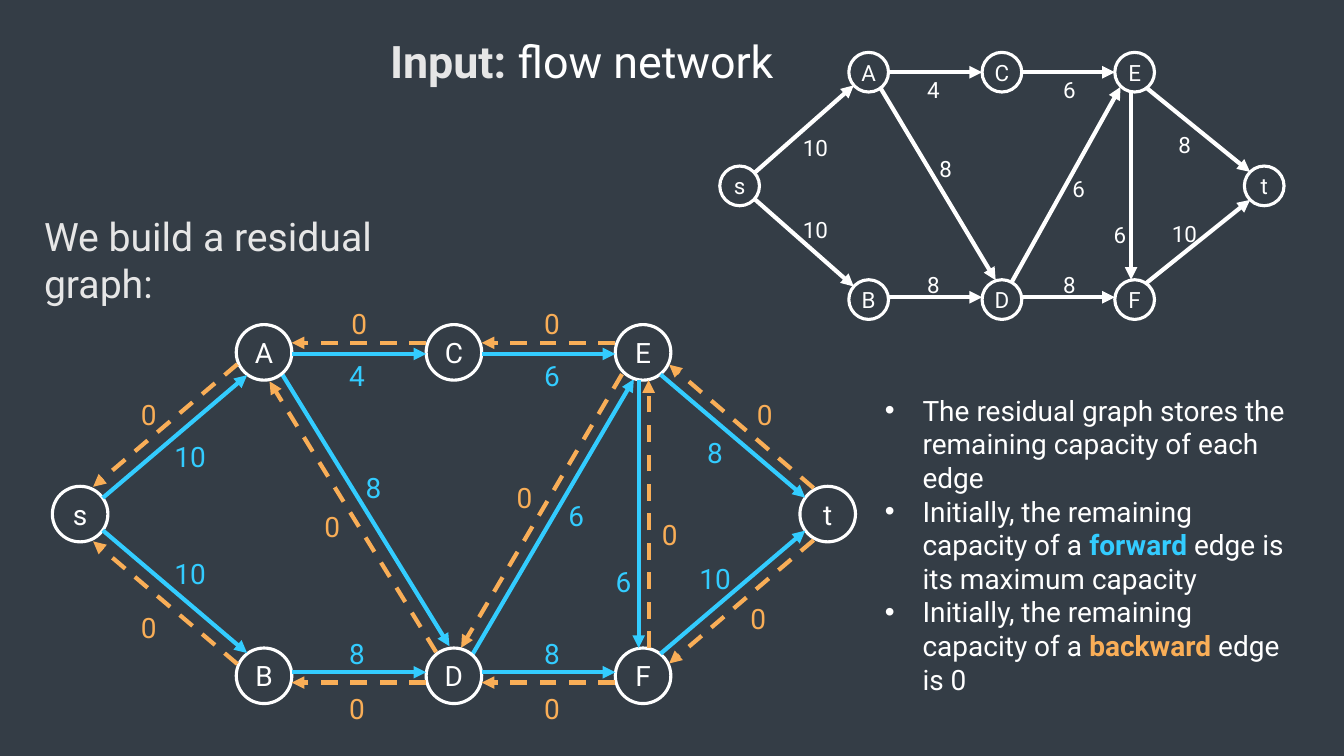
from math import hypot

from lxml.etree import SubElement
from pptx import Presentation
from pptx.dml.color import RGBColor
from pptx.enum.dml import MSO_LINE
from pptx.enum.shapes import MSO_CONNECTOR, MSO_SHAPE
from pptx.enum.text import MSO_ANCHOR as ANCHOR, PP_ALIGN as ALIGN
from pptx.oxml.ns import qn
from pptx.util import Cm, Pt

BACKGROUND = RGBColor(0x34, 0x3D, 0x46)
WHITE = RGBColor(0xFF, 0xFF, 0xFF)
LIGHT = RGBColor(0xE6, 0xE6, 0xE6)
BLUE = RGBColor(0x33, 0xCC, 0xFF)
ORANGE = RGBColor(0xF9, 0xAE, 0x57)
FONT = "Roboto"

NODES = {"s": (0, 0.5), "t": (1, 0.5),
         "B": (0.246, 1), "C": (0.5, 0), "D": (0.5, 1),
         "A": (0.246, 0), "F": (0.753, 1), "E": (0.753, 0)}
CROSSING = ("AD", "DA", "DE", "ED")

# Edge: tail and head, capacity, sideways shift at tail and head, label centre
NETWORK = [
    ("sA", 10, 0, 0, 2.41, 2.4), ("sB", 10, 0, 0, 2.41, 4.46),
    ("AC", 4, 0, 0, 5.38, 0.93), ("CE", 6, 0, 0, 8.81, 0.93),
    ("BD", 8, -0.06, -0.06, 5.38, 5.85), ("DF", 8, -0.06, -0.06, 8.81, 5.85),
    ("AD", 8, -0.05, -0.11, 5.69, 2.93), ("DE", 6, 0, -0.12, 9.04, 3.44),
    ("EF", 6, 0.09, 0.09, 10.08, 4.58),
    ("Et", 8, 0.1, -0.03, 11.71, 2.32), ("Ft", 10, -0.12, 0.03, 11.71, 4.56),
]
FORWARD = [
    ("sA", 10, 0.07, 0.15, 3.47, 3.33), ("sB", 10, -0.07, -0.15, 3.47, 6.27),
    ("AC", 4, 0.04, 0.04, 7.68, 1.27), ("CE", 6, 0.04, 0.04, 12.59, 1.27),
    ("BD", 8, -0.09, -0.09, 7.68, 8.28), ("DF", 8, -0.09, -0.09, 12.59, 8.28),
    ("AD", 8, -0.1, -0.28, 8.09, 4.11), ("DE", 6, 0.13, 0.14, 13.2, 4.8),
    ("EF", 6, 0.11, 0.11, 14.39, 6.48),
    ("Et", 8, 0.13, 0.06, 16.7, 3.23), ("Ft", 10, -0.13, -0.06, 16.7, 6.4),
]
BACKWARD = [
    ("As", 0, 0.22, 0.3, 2.43, 2.26), ("Bs", 0, -0.22, -0.3, 2.43, 7.62),
    ("CA", 0, 0.24, 0.24, 7.73, -0.03), ("EC", 0, 0.24, 0.24, 12.59, -0.03),
    ("DB", 0, -0.17, -0.17, 7.68, 9.68), ("FD", 0, -0.17, -0.17, 12.59, 9.68),
    ("DA", 0, -0.07, -0.25, 7.05, 5.08), ("ED", 0, 0.18, 0.2, 11.9, 4.34),
    ("FE", 0, 0.14, 0.14, 15.56, 5.28),
    ("tE", 0, 0.26, 0.2, 17.95, 2.26), ("tF", 0, -0.26, -0.2, 17.79, 7.39),
]


def add_runs(p, *runs, size, align=ALIGN.LEFT):
    """Fill a paragraph with (text, colour, bold) runs."""
    p.alignment = align
    for text, color, bold in runs:
        r = p.add_run()
        r.text = text
        r.font.name, r.font.size, r.font.bold = FONT, Pt(size), bold
        r.font.color.rgb = color


def set_frame(tf, inset=(0, 0), wrap=True, anchor=ANCHOR.TOP):
    """Set insets in cm, wrapping and anchor of a text frame."""
    tf.margin_left = tf.margin_right = Cm(inset[0])
    tf.margin_top = tf.margin_bottom = Cm(inset[1])
    tf.word_wrap, tf.vertical_anchor = wrap, anchor


def add_text(shapes, box, *paragraphs, size, bullets=False, align=ALIGN.LEFT,
             **frame):
    """Place a text box holding one list of runs per paragraph."""
    tf = shapes.add_textbox(*map(Cm, box)).text_frame
    set_frame(tf, **frame)
    for i, runs in enumerate(paragraphs):
        p = tf.paragraphs[0] if i == 0 else tf.add_paragraph()
        if bullets:
            pPr = p._p.get_or_add_pPr()
            pPr.set("marL", str(Cm(0.95)))
            pPr.set("indent", str(-Cm(0.95)))
            SubElement(pPr, qn("a:buFont"), typeface="Arial")
            SubElement(pPr, qn("a:buChar"), char="•")
        add_runs(p, *runs, size=size, align=align)


def add_arrow(shapes, start, end, color, dashed):
    """Draw an arrow between two points in cm."""
    c = shapes.add_connector(MSO_CONNECTOR.STRAIGHT, *map(Cm, start + end))
    c.line.color.rgb, c.line.width = color, Pt(3)
    if dashed:
        c.line.dash_style = MSO_LINE.DASH
    SubElement(c.line._get_or_add_ln(), qn("a:tailEnd"), type="triangle")
    SubElement(c._element.spPr, qn("a:effectLst"))


def add_node(shapes, name, center, radius, size):
    """Draw one named circle."""
    x, y = center
    sp = shapes.add_shape(MSO_SHAPE.OVAL, Cm(x - radius), Cm(y - radius),
                          Cm(2 * radius), Cm(2 * radius))
    sp.shadow.inherit = False
    sp.fill.solid()
    sp.fill.fore_color.rgb = BACKGROUND
    sp.line.color.rgb, sp.line.width = WHITE, Pt(2.25)
    set_frame(sp.text_frame, wrap=False, anchor=ANCHOR.MIDDLE)
    add_runs(sp.text_frame.paragraphs[0], (name, WHITE, False), size=size,
             align=ALIGN.CENTER)


def add_graph(shapes, box, radius, size, layers):
    """Draw the nodes of a graph in a box, with layers of (edges, colour, dashed)."""
    left, top, width, height = box
    centers = {name: (left + radius + fx * (width - 2 * radius),
                      top + radius + fy * (height - 2 * radius))
               for name, (fx, fy) in NODES.items()}

    def draw_edges(crossing):
        """Draw the edges that start under their node, or the others."""
        for edges, color, dashed in layers:
            for ends, _, tail_shift, head_shift, _, _ in edges:
                if (ends in CROSSING) != crossing:
                    continue
                (x1, y1), (x2, y2) = (centers[name] for name in ends)
                length = hypot(x2 - x1, y2 - y1)
                dx, dy = (x2 - x1) / length, (y2 - y1) / length
                trim = 0 if crossing else radius
                start = (x1 + trim * dx - tail_shift * dy,
                         y1 + trim * dy + tail_shift * dx)
                end = (x2 - radius * dx - head_shift * dy,
                       y2 - radius * dy + head_shift * dx)
                add_arrow(shapes, start, end, color, dashed)

    draw_edges(crossing=True)
    for name, center in centers.items():
        add_node(shapes, name, center, radius, size)
    draw_edges(crossing=False)
    w, h = 1.75 * radius, 0.043 * size
    for edges, color, _ in layers:
        for _, capacity, _, _, x, y in edges:
            add_text(shapes, (left + x - w / 2, top + y - h / 2, w, h),
                     [(str(capacity), color, False)], size=size,
                     align=ALIGN.CENTER, anchor=ANCHOR.MIDDLE)


def add_notes_list(shapes, box):
    """Write the bulleted explanation of the residual graph."""
    initially = ("Initially, the remaining capacity of a ", WHITE, False)
    add_text(
        shapes, box,
        [("The residual graph stores the remaining capacity of each edge", WHITE, False)],
        [initially, ("forward", BLUE, True),
         (" edge is its maximum capacity", WHITE, False)],
        [initially, ("backward", ORANGE, True), (" edge is 0", WHITE, False)],
        size=20, bullets=True, inset=(0.25, 0.13))


def main():
    """Build the slide and save it."""
    prs = Presentation()
    prs.slide_width, prs.slide_height = Cm(33.87), Cm(19.05)
    s = prs.slides.add_slide(prs.slide_layouts[6])
    s.background.fill.solid()
    s.background.fill.fore_color.rgb = BACKGROUND
    add_graph(s.shapes.add_group_shape().shapes, (18.14, 1.32, 14.22, 6.73),
              0.5, 16, [(NETWORK, WHITE, False)])
    add_text(s.shapes, (9.58, 0.71, 14.1, 1.63),
             [("Input: ", LIGHT, True), ("flow network", WHITE, False)],
             size=32, inset=(0.25, 0.13))
    add_graph(s.shapes, (1.32, 8.18, 20.24, 9.55), 0.7, 20,
              [(BACKWARD, ORANGE, True), (FORWARD, BLUE, False)])
    add_text(s.shapes, (0.86, 5.21, 9.53, 2.64),
             [("We build a residual graph:", LIGHT, False)],
             size=28, inset=(0.25, 0.13))
    add_notes_list(s.shapes, (22.05, 9.78, 10.69, 7.95))
    prs.save("out.pptx")


if __name__ == "__main__":
    main()
